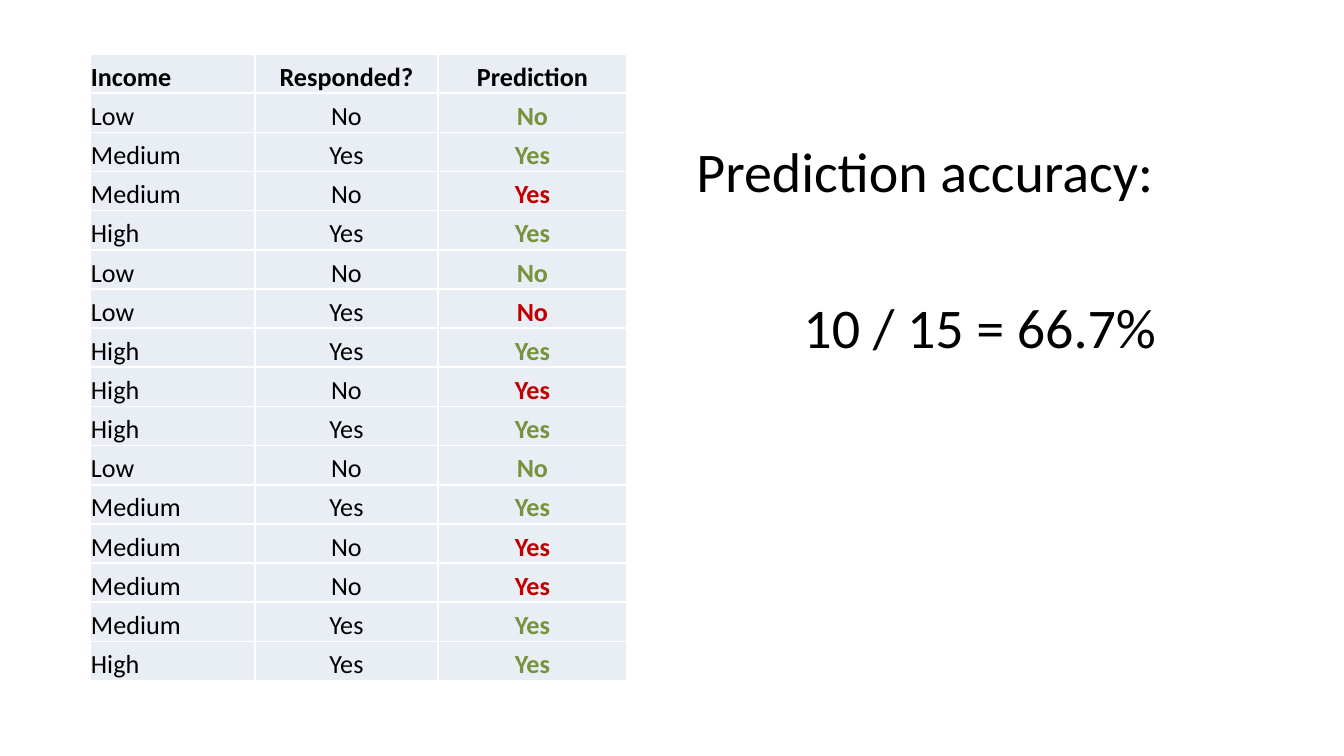
from dataclasses import dataclass

from lxml.etree import SubElement
from pptx import Presentation
from pptx.dml.color import RGBColor
from pptx.enum.text import MSO_ANCHOR as Anchor, MSO_AUTO_SIZE as AutoSize, PP_ALIGN as Align
from pptx.oxml.ns import qn
from pptx.util import Emu, Pt


@dataclass(frozen=True)
class Theme:
    font: str = "Calibri"
    ink: str = "000000"
    correct: str = "77933C"
    wrong: str = "C00000"
    cell: str = "E9EDF4"
    border: str = "FFFFFF"
    table_size: int = 14
    body_size: int = 30


@dataclass(frozen=True)
class Customer:
    income: str
    responded: str

    @property
    def prediction(self) -> str:
        return "No" if self.income == "Low" else "Yes"


THEME = Theme()
HEADERS = ("Income", "Responded?", "Prediction")
COLUMN_WIDTHS = (165, 183, 189)
CUSTOMERS = [
    Customer("Low", "No"),
    Customer("Medium", "Yes"),
    Customer("Medium", "No"),
    Customer("High", "Yes"),
    Customer("Low", "No"),
    Customer("Low", "Yes"),
    Customer("High", "Yes"),
    Customer("High", "No"),
    Customer("High", "Yes"),
    Customer("Low", "No"),
    Customer("Medium", "Yes"),
    Customer("Medium", "No"),
    Customer("Medium", "No"),
    Customer("Medium", "Yes"),
    Customer("High", "Yes"),
]


def px(n: float) -> Emu:
    return Emu(round(n * 914400 / 134.4))


def write(p, text: str, *, size: int, color: str = THEME.ink, bold: bool = False,
          align: Align = Align.LEFT, before: int = 0) -> None:
    p.alignment = align
    p.space_before = Pt(before)
    r = p.add_run()
    r.text = text
    r.font.name = THEME.font
    r.font.size = Pt(size)
    r.font.bold = bold
    r.font.color.rgb = RGBColor.from_string(color)


def style_cell(cell) -> None:
    cell.vertical_anchor = Anchor.BOTTOM
    cell.margin_left = cell.margin_right = cell.margin_top = px(1)
    cell.margin_bottom = 0
    tc_pr = cell._tc.get_or_add_tcPr()
    for side in ("lnL", "lnR", "lnT", "lnB"):
        ln = SubElement(tc_pr, qn(f"a:{side}"), w=str(Pt(1)))
        fill = SubElement(ln, qn("a:solidFill"))
        SubElement(fill, qn("a:srgbClr"), val=THEME.border)
    cell.fill.solid()
    cell.fill.fore_color.rgb = RGBColor.from_string(THEME.cell)


def add_predictions(slide, left: int, top: int, height: int) -> None:
    rows = len(CUSTOMERS) + 1
    table = slide.shapes.add_table(rows, len(HEADERS), px(left), px(top),
                                   px(sum(COLUMN_WIDTHS)), px(height)).table
    for column, width in zip(table.columns, COLUMN_WIDTHS):
        column.width = px(width)
    for row in table.rows:
        row.height = px(height / rows)
    values = [HEADERS] + [(c.income, c.responded, c.prediction) for c in CUSTOMERS]
    for i, row in enumerate(values):
        for j, text in enumerate(row):
            cell = table.cell(i, j)
            style_cell(cell)
            color = THEME.ink
            if i and j == 2:
                color = THEME.correct if text == row[1] else THEME.wrong
            write(cell.text_frame.paragraphs[0], text, size=THEME.table_size,
                  color=color, bold=i == 0 or j == 2,
                  align=Align.CENTER if j else Align.LEFT)


def fill_body(body, left: int, top: int, width: int, height: int) -> None:
    body.left, body.top, body.width, body.height = map(px, (left, top, width, height))
    tf = body.text_frame
    tf.word_wrap = True
    tf.auto_size = AutoSize.NONE
    tf.vertical_anchor = Anchor.TOP
    tf.margin_top = px(82)
    write(tf.paragraphs[0], "Prediction accuracy:", size=THEME.body_size)
    write(tf.add_paragraph(), "10 / 15 = 66.7%", size=THEME.body_size,
          align=Align.CENTER, before=48)
    for p in tf.paragraphs:
        p_pr = p._p.get_or_add_pPr()
        p_pr.set("marL", "0")
        p_pr.set("indent", "0")
        SubElement(p_pr, qn("a:buNone"))


prs = Presentation()
prs.slide_width, prs.slide_height = px(1344), px(756)
s = prs.slides.add_slide(prs.slide_layouts[1])
title = s.shapes.title.element
title.getparent().remove(title)
add_predictions(s, left=90, top=54, height=627)
fill_body(s.placeholders[1], left=683, top=54, width=594, height=622)
prs.save("out.pptx")
